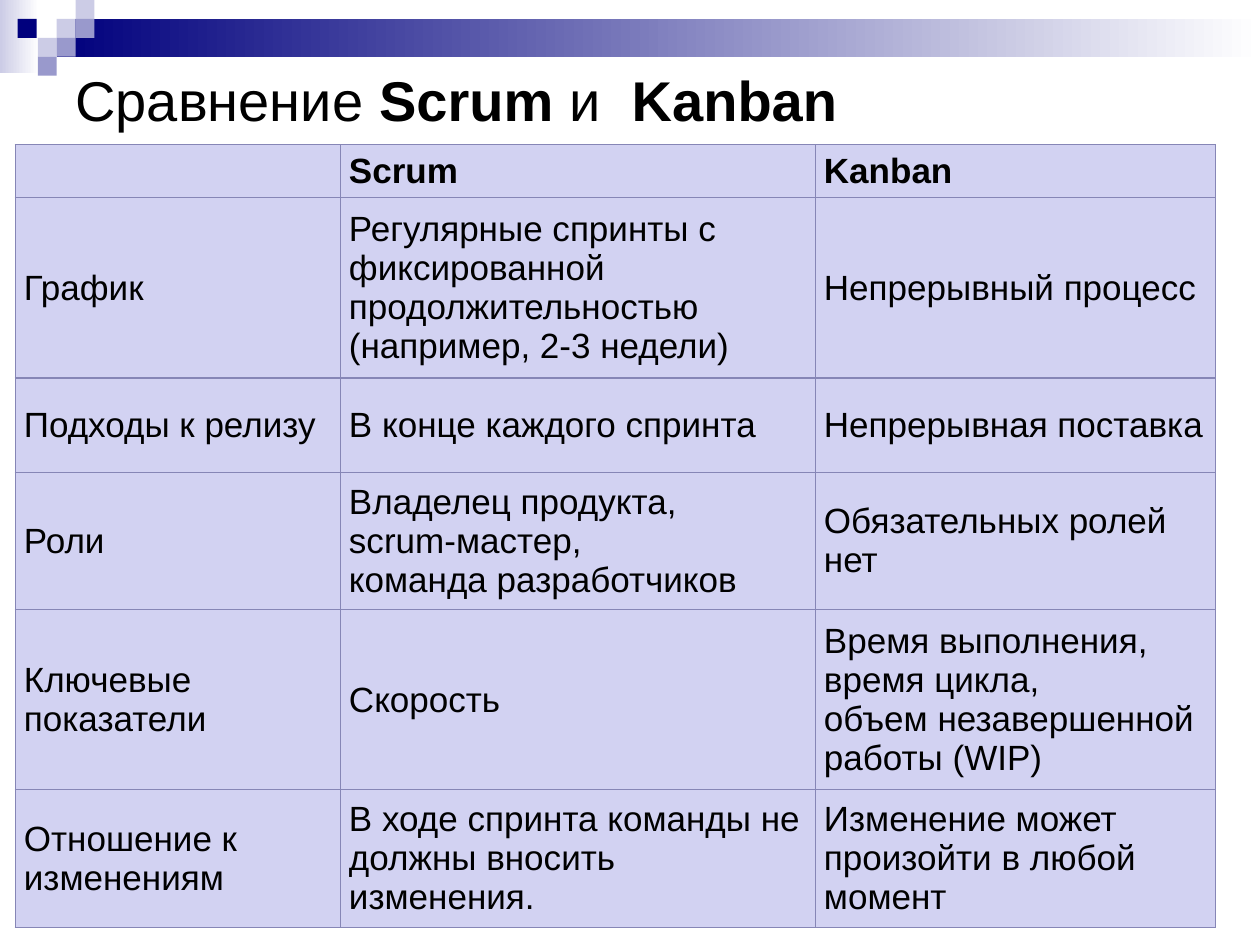
from lxml.etree import SubElement
from pptx import Presentation
from pptx.dml.color import RGBColor
from pptx.enum.shapes import MSO_SHAPE
from pptx.enum.text import MSO_ANCHOR
from pptx.oxml import parse_xml
from pptx.oxml.ns import nsdecls, qn
from pptx.util import Inches, Pt

NAVY = RGBColor(0x00, 0x00, 0x7D)
LAVENDER = RGBColor(0x99, 0x99, 0xCC)
PALE = RGBColor(0xCC, 0xCC, 0xE6)
WHITE = RGBColor(0xFF, 0xFF, 0xFF)
BLACK = RGBColor(0x00, 0x00, 0x00)
CELL = RGBColor(0xD2, 0xD2, 0xF2)
BORDER = RGBColor(0x86, 0x86, 0xB6)

prs = Presentation()
prs.slide_width, prs.slide_height = Inches(10), Inches(7.5)
slide = prs.slides.add_slide(prs.slide_layouts[6])


def add_block(left, top, width, height, *colors):
    block = slide.shapes.add_shape(
        MSO_SHAPE.RECTANGLE, Inches(left), Inches(top), Inches(width), Inches(height))
    block.shadow.inherit = False
    block.line.fill.background()
    if len(colors) == 1:
        block.fill.solid()
        block.fill.fore_color.rgb = colors[0]
    else:
        block.fill.gradient()
        block.fill.gradient_angle = 0
        for stop, color in zip(block.fill.gradient_stops, colors):
            stop.color.rgb = color


def style_run(run, size, bold):
    run.font.name = "Arial"
    run.font.size = Pt(size)
    run.font.bold = bold
    run.font.color.rgb = BLACK


add_block(0, 0, 0.31, 0.58, PALE, WHITE)
add_block(0.45, 0.15, 9.55, 0.3, NAVY, WHITE)
for left, top, color in [
    (0.45, 0.15, PALE), (0.6, 0, PALE), (0.6, 0.15, LAVENDER), (0.3, 0.3, PALE),
    (0.14, 0.15, NAVY), (0.45, 0.3, LAVENDER), (0.3, 0.45, LAVENDER),
]:
    add_block(left, top, 0.15, 0.15, color)

title = slide.shapes.add_textbox(Inches(0.5), Inches(0.5), Inches(9), Inches(0.58))
title.text_frame.word_wrap = True
title.text_frame.vertical_anchor = MSO_ANCHOR.MIDDLE
for part, bold in [("Сравнение ", False), ("Scrum", True), (" и  ", False), ("Kanban", True)]:
    run = title.text_frame.paragraphs[0].add_run()
    run.text = part
    style_run(run, 32, bold)

comparison = [
    ("", "Scrum", "Kanban"),
    ("График",
     "Регулярные спринты с фиксированной продолжительностью (например, 2-3 недели)",
     "Непрерывный процесс"),
    ("Подходы к релизу", "В конце каждого спринта", "Непрерывная поставка"),
    ("Роли", "Владелец продукта,\nscrum-мастер,\nкоманда разработчиков",
     "Обязательных ролей нет"),
    ("Ключевые показатели", "Скорость",
     "Время выполнения, время цикла,\nобъем незавершенной работы (WIP)"),
    ("Отношение к изменениям", "В ходе спринта команды не должны вносить изменения.",
     "Изменение может произойти в любой момент"),
]
column_widths = [2.58, 3.77, 3.18]
row_heights = [0.42, 1.43, 0.75, 1.09, 1.43, 1.09]

table = slide.shapes.add_table(
    len(row_heights), len(column_widths), Inches(0.12), Inches(1.15),
    Inches(sum(column_widths)), Inches(sum(row_heights))).table
table.horz_banding = False
for column, width in zip(table.columns, column_widths):
    column.width = Inches(width)
for row, height in zip(table.rows, row_heights):
    row.height = Inches(height)

for r, texts in enumerate(comparison):
    for c, text in enumerate(texts):
        cell = table.cell(r, c)
        cell.text_frame.text = text
        cell.vertical_anchor = MSO_ANCHOR.MIDDLE
        cell.margin_left = cell.margin_right = Inches(0.07)
        cell.margin_top = cell.margin_bottom = Inches(0.04)
        cell.fill.solid()
        cell.fill.fore_color.rgb = CELL
        for paragraph in cell.text_frame.paragraphs:
            for run in paragraph.runs:
                style_run(run, 20, r == 0)
        properties = cell._tc.get_or_add_tcPr()
        for i, side in enumerate(["lnL", "lnR", "lnT", "lnB"]):
            edge = parse_xml(f'<a:{side} {nsdecls("a")} w="{Pt(0.75)}"/>')
            edge_fill = SubElement(edge, qn("a:solidFill"))
            SubElement(edge_fill, qn("a:srgbClr"), val=str(BORDER))
            properties.insert(i, edge)

prs.save("out.pptx")
